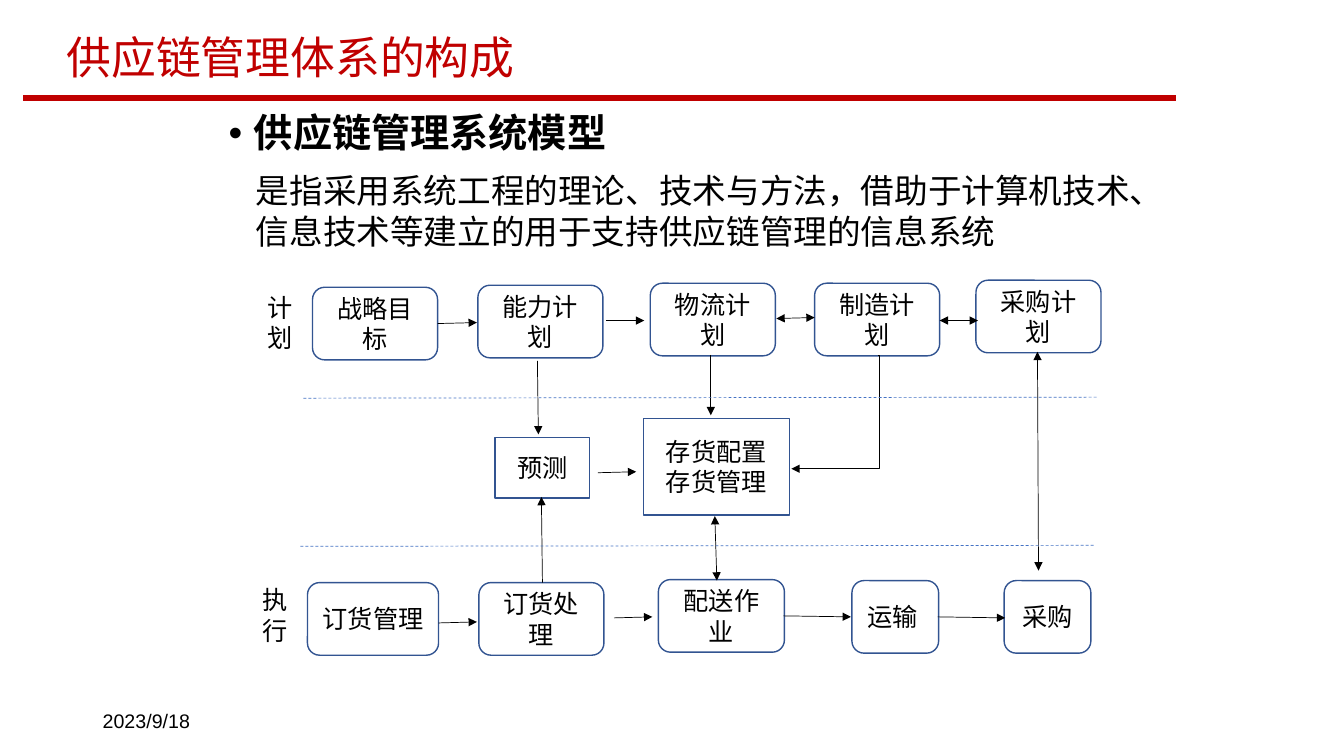
import pptx
import pptx.util
import pptx.oxml
import pptx.oxml.ns
from dataclasses import dataclass
from lxml import etree
from pptx.dml.color import RGBColor
from pptx.enum.dml import MSO_LINE
from pptx.enum.shapes import MSO_CONNECTOR, MSO_SHAPE
from pptx.enum.text import MSO_ANCHOR, PP_ALIGN
from pptx.util import Inches


@dataclass(frozen=True)
class Theme:
    """Colours, fonts and type sizes of the slide."""
    red: str = "C00000"
    ink: str = "000000"
    border: str = "325491"
    divider: str = "4472C4"
    heading_font: str = "Noto Sans CJK SC"
    body_font: str = "Times New Roman"
    node_font: str = "Calibri"
    date_font: str = "Arial"
    title: int = 32
    heading: int = 28
    body: int = 24
    node: int = 18
    date: int = 14
    thin: float = 0.5
    box: float = 1
    rule: float = 4.5


THEME = Theme()
ROUND, RECT = MSO_SHAPE.ROUNDED_RECTANGLE, MSO_SHAPE.RECTANGLE

# label, left, top, width
PLAN_STEPS = [("战略目标", 3.1, 2.85, 1.24), ("能力计划", 4.74, 2.83, 1.24),
              ("物流计划", 6.45, 2.81, 1.24), ("制造计划", 8.08, 2.81, 1.24),
              ("采购计划", 9.68, 2.78, 1.24)]
EXECUTION_STEPS = [("订货管理", 3.05, 5.78, 1.3), ("订货处理", 4.75, 5.78, 1.24),
                   ("配送作业", 6.53, 5.75, 1.25), ("运输 ", 8.45, 5.76, 0.86),
                   ("采购", 9.96, 5.76, 0.86)]
STEP_HEIGHT = 0.72

# start x, start y, end x, end y
ONE_WAY = [(7.05, 3.52, 7.05, 4.12), (4.34, 3.21, 4.73, 3.2),
           (6.01, 3.18, 6.39, 3.18), (5.33, 3.58, 5.34, 4.31),
           (5.93, 4.69, 6.31, 4.68), (4.35, 6.18, 4.73, 6.17),
           (6.09, 6.13, 6.47, 6.12), (7.77, 6.11, 8.44, 6.12),
           (9.3, 6.12, 9.97, 6.13), (5.38, 5.78, 5.37, 4.93)]
TWO_WAY = [(7.7, 3.16, 8.08, 3.15), (9.32, 3.18, 9.7, 3.18),
           (10.29, 3.49, 10.3, 5.66), (7.09, 5.12, 7.11, 5.76)]
DIVIDERS = [(3.01, 3.95, 10.88, 3.94), (2.98, 5.42, 10.85, 5.41)]


def write(tf, text, size, font, color=THEME.ink, align=PP_ALIGN.LEFT):
    """Fill a text frame with one paragraph per line of text."""
    tf.text = text
    for p in tf.paragraphs:
        p.alignment = align
        p.font.size = pptx.util.Pt(size)
        p.font.name = font
        p.font.color.rgb = RGBColor.from_string(color)


def add_text(slide, text, at, size, font, color=THEME.ink,
             align=PP_ALIGN.LEFT, anchor=MSO_ANCHOR.TOP, wrap=True):
    """Add a text box and return its text frame."""
    tf = slide.shapes.add_textbox(*map(Inches, at)).text_frame
    tf.word_wrap = wrap
    tf.vertical_anchor = anchor
    write(tf, text, size, font, color, align)
    return tf


def add_heading(slide, text, at):
    """Add the bold, bulleted heading."""
    p = add_text(slide, text, at, THEME.heading, THEME.heading_font).paragraphs[0]
    p.font.bold = True
    p.line_spacing = 0.9
    p.space_before = pptx.util.Pt(10)
    pPr = p._p.get_or_add_pPr()
    pPr.set("marL", str(Inches(0.25)))
    pPr.set("indent", str(-Inches(0.25)))
    bullet_font = etree.Element(pptx.oxml.ns.qn("a:buFont"), typeface=THEME.date_font)
    bullet = etree.Element(pptx.oxml.ns.qn("a:buChar"), char="•")
    # bullets come after spacing and before the default run properties
    position = len(pPr.findall(pptx.oxml.ns.qn("a:lnSpc"))
                   + pPr.findall(pptx.oxml.ns.qn("a:spcBef")))
    pPr.insert(position, bullet_font)
    pPr.insert(position + 1, bullet)


def add_node(slide, text, at, kind=ROUND):
    """Add one outlined box of the flow chart."""
    sp = slide.shapes.add_shape(kind, *map(Inches, at))
    sp.shadow.inherit = False
    sp.fill.background()
    sp.line.color.rgb = RGBColor.from_string(THEME.border)
    sp.line.width = pptx.util.Pt(THEME.box)
    sp.text_frame.word_wrap = True
    sp.text_frame.vertical_anchor = MSO_ANCHOR.MIDDLE
    write(sp.text_frame, text, THEME.node, THEME.node_font, align=PP_ALIGN.CENTER)


def add_line(slide, ends, color=THEME.ink, width=THEME.thin, heads=(),
             dash=None, kind=MSO_CONNECTOR.STRAIGHT):
    """Add a connector; heads names the ends that carry an arrowhead."""
    cxn = slide.shapes.add_connector(kind, *map(Inches, ends))
    cxn.line.color.rgb = RGBColor.from_string(color)
    cxn.line.width = pptx.util.Pt(width)
    if dash:
        cxn.line.dash_style = dash
    ln = cxn.line._get_or_add_ln()
    for head in heads:
        etree.SubElement(ln, pptx.oxml.ns.qn("a:" + head), type="triangle")
    etree.SubElement(cxn._element.spPr, pptx.oxml.ns.qn("a:effectLst"))
    return cxn


def add_elbow(slide, ends, bend):
    """Add an elbow arrow that turns at the given share of its width."""
    cxn = add_line(slide, ends, heads=["tailEnd"], kind=MSO_CONNECTOR.ELBOW)
    geom = cxn._element.spPr.find(pptx.oxml.ns.qn("a:prstGeom"))
    guides = geom.find(pptx.oxml.ns.qn("a:avLst"))
    if guides is None:
        guides = etree.SubElement(geom, pptx.oxml.ns.qn("a:avLst"))
    etree.SubElement(guides, pptx.oxml.ns.qn("a:gd"), name="adj1",
                     fmla=f"val {round(bend * 100000)}")


def add_flow(slide):
    """Add the planning and execution flow chart."""
    for text, left, top, width in PLAN_STEPS + EXECUTION_STEPS:
        add_node(slide, text, (left, top, width, STEP_HEIGHT))
    add_node(slide, "预测", (4.91, 4.34, 0.94, 0.6), RECT)
    add_node(slide, "存货配置\n存货管理", (6.38, 4.15, 1.45, 0.96), RECT)
    for text, at in [("计划", (2.55, 2.62, 0.46, 1.16)),
                     ("执行", (2.5, 5.5, 0.46, 1.2))]:
        add_text(slide, text, at, THEME.node, THEME.node_font,
                 align=PP_ALIGN.CENTER, anchor=MSO_ANCHOR.MIDDLE)
    for ends in ONE_WAY:
        add_line(slide, ends, heads=["tailEnd"])
    for ends in TWO_WAY:
        add_line(slide, ends, heads=["headEnd", "tailEnd"])
    add_elbow(slide, (8.71, 3.53, 7.85, 4.65), -0.02)
    for ends in DIVIDERS:
        add_line(slide, ends, THEME.divider, dash=MSO_LINE.DASH)


def main():
    """Build the slide and save it."""
    prs = pptx.Presentation()
    prs.slide_width, prs.slide_height = Inches(13.33), Inches(7.5)
    slide = prs.slides.add_slide(prs.slide_layouts[6])
    add_heading(slide, "供应链管理系统模型", (2.17, 1.08, 9.3, 0.66))
    add_text(slide, "2023/9/18", (0.92, 6.95, 3, 0.4), THEME.date,
             THEME.date_font, anchor=MSO_ANCHOR.MIDDLE)
    add_flow(slide)
    add_text(slide, "是指采用系统工程的理论、技术与方法，借助于计算机技术、"
             "信息技术等建立的用于支持供应链管理的信息系统",
             (2.44, 1.64, 9, 0.91), THEME.body, THEME.body_font)
    add_text(slide, "供应链管理体系的构成", (0.56, 0.25, 4.69, 0.64),
             THEME.title, THEME.heading_font, THEME.red, wrap=False)
    add_line(slide, (0.23, 0.97, 11.66, 0.97), THEME.red, THEME.rule)
    prs.save("out.pptx")


main()
